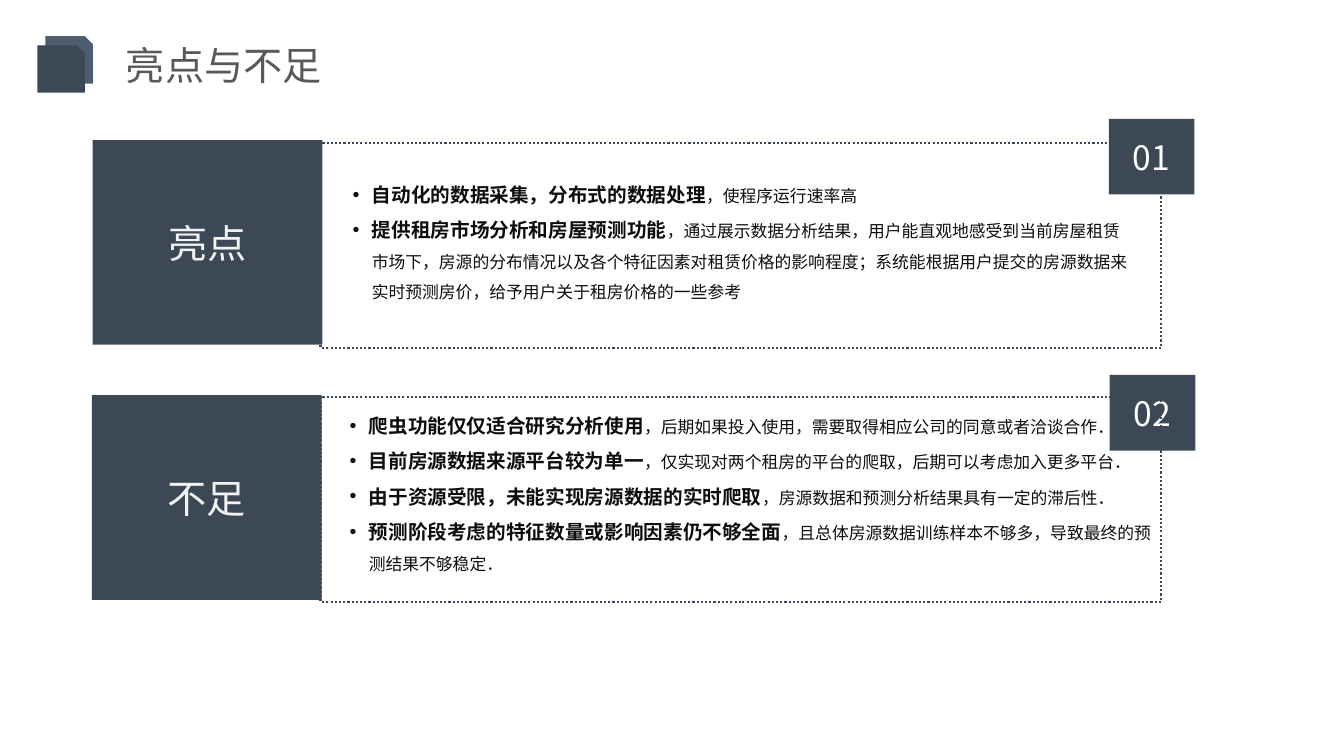
from dataclasses import dataclass
from typing import Any, NamedTuple

from lxml.etree import SubElement
from pptx import Presentation
from pptx.dml.color import RGBColor
from pptx.enum.dml import MSO_LINE
from pptx.enum.shapes import MSO_SHAPE
from pptx.enum.text import MSO_ANCHOR, PP_ALIGN
from pptx.oxml.ns import qn
from pptx.util import Inches, Pt

FACE = "Noto Sans CJK SC"
NAVY, SLATE, GREY, INK, PALE, WHITE = (
    "3C4856", "4D5C6F", "595959", "0D0D0D", "F2F2F2", "FFFFFF")
HANG = Inches(0.19)

deck = Presentation()
deck.slide_width, deck.slide_height = Inches(13.33), Inches(7.5)
slide = deck.slides.add_slide(deck.slide_layouts[6])


class Box(NamedTuple):
    """Left, top, width and height in percent of the slide."""
    x: float
    y: float
    w: float
    h: float

    def emu(self) -> list[int]:
        sides = (deck.slide_width, deck.slide_height) * 2
        return [round(part * side / 100) for part, side in zip(self, sides)]


class Point(NamedTuple):
    lead: str
    rest: str


@dataclass
class Section:
    name: str
    code: str
    label: Box
    frame: Box
    badge: Box
    body: Box
    points: list[Point]
    layers: tuple[str, ...]  # back to front


SECTIONS = [
    Section(
        "亮点", "01",
        Box(6.9, 18.53, 17.1, 27.07), Box(23.85, 18.93, 62.55, 27.07),
        Box(82.5, 15.73, 6.38, 10), Box(25.5, 22, 59.25, 18.8),
        [Point("自动化的数据采集，分布式的数据处理", "，使程序运行速率高"),
         Point("提供租房市场分析和房屋预测功能",
               "，通过展示数据分析结果，用户能直观地感受到当前房屋租赁市场下，"
               "房源的分布情况以及各个特征因素对租赁价格的影响程度；"
               "系统能根据用户提交的房源数据来实时预测房价，"
               "给予用户关于租房价格的一些参考")],
        ("frame", "badge", "label")),
    Section(
        "不足", "02",
        Box(6.83, 52.27, 17.1, 27.07), Box(23.85, 52.53, 62.55, 27.07),
        Box(82.57, 49.6, 6.38, 10), Box(25.28, 52.53, 61.13, 24.27),
        [Point("爬虫功能仅仅适合研究分析使用",
               "，后期如果投入使用，需要取得相应公司的同意或者洽谈合作．"),
         Point("目前房源数据来源平台较为单一",
               "，仅实现对两个租房的平台的爬取，后期可以考虑加入更多平台．"),
         Point("由于资源受限，未能实现房源数据的实时爬取",
               "，房源数据和预测分析结果具有一定的滞后性．"),
         Point("预测阶段考虑的特征数量或影响因素仍不够全面",
               "，且总体房源数据训练样本不够多，导致最终的预测结果不够稳定．")],
        ("badge", "frame", "label")),
]


def paint(target: Any, tone: str) -> None:
    """Give a fill or a font one solid colour."""
    if hasattr(target, "solid"):
        target.solid()
        target = target.fore_color
    else:
        target = target.color
    target.rgb = RGBColor.from_string(tone)


def apply(item: Any, **style: Any) -> None:
    for key, value in style.items():
        setattr(item, key, value)


def write(para: Any, text: str, size: float, tone: str,
          bold: bool = False) -> None:
    run = para.add_run()
    run.text = text
    paint(run.font, tone)
    apply(run.font, size=Pt(size), bold=bold, name=FACE)
    SubElement(run._r.get_or_add_rPr(), qn("a:ea"), typeface=FACE)


def block(box: Box, tone: str, kind: MSO_SHAPE = MSO_SHAPE.RECTANGLE) -> Any:
    """Draw a filled shape without an outline."""
    shape = slide.shapes.add_shape(kind, *box.emu())
    shape.shadow.inherit = False
    paint(shape.fill, tone)
    shape.line.fill.background()
    return shape


def tile(box: Box, text: str, size: float, tone: str) -> None:
    """Draw a dark block with centred text."""
    frame = block(box, NAVY).text_frame
    apply(frame, vertical_anchor=MSO_ANCHOR.MIDDLE, word_wrap=True)
    para = frame.paragraphs[0]
    para.alignment = PP_ALIGN.CENTER
    write(para, text, size, tone)


def border(box: Box) -> None:
    """Draw a dotted outline."""
    shape = block(box, WHITE)
    shape.fill.background()
    paint(shape.line, NAVY)
    apply(shape.line, width=Pt(1.5), dash_style=MSO_LINE.ROUND_DOT)


def area(box: Box, anchor: MSO_ANCHOR) -> Any:
    """Add a wrapping text box and return its text frame."""
    frame = slide.shapes.add_textbox(*box.emu()).text_frame
    apply(frame, word_wrap=True, vertical_anchor=anchor)
    return frame


def bullets(box: Box, points: list[Point]) -> None:
    frame = area(box, MSO_ANCHOR.TOP)
    for num, point in enumerate(points):
        para = frame.add_paragraph() if num else frame.paragraphs[0]
        props = para._p.get_or_add_pPr()
        props.set("marL", str(HANG))
        props.set("indent", str(-HANG))
        SubElement(props, qn("a:buFont"), typeface="Arial")
        SubElement(props, qn("a:buChar"), char="•")
        para.line_spacing = 1.5
        write(para, point.lead, 14, INK, bold=True)
        write(para, point.rest, 12, INK)


def layer(part: Section, name: str) -> None:
    if name == "frame":
        border(part.frame)
    elif name == "badge":
        tile(part.badge, part.code, 24, WHITE)
    else:
        tile(part.label, part.name, 28, PALE)


def main() -> None:
    title = area(Box(8.63, 3.73, 41.1, 9.6), MSO_ANCHOR.MIDDLE)
    write(title.paragraphs[0], "亮点与不足", 28, GREY)
    for part in SECTIONS:
        for name in part.layers:
            layer(part, name)
        bullets(part.body, part.points)
    for left, top, tone in ((3.38, 4.8, SLATE), (2.78, 6, NAVY)):
        block(Box(left, top, 3.53, 6.27), tone, MSO_SHAPE.SNIP_1_RECTANGLE)
    deck.save("out.pptx")


if __name__ == "__main__":
    main()
